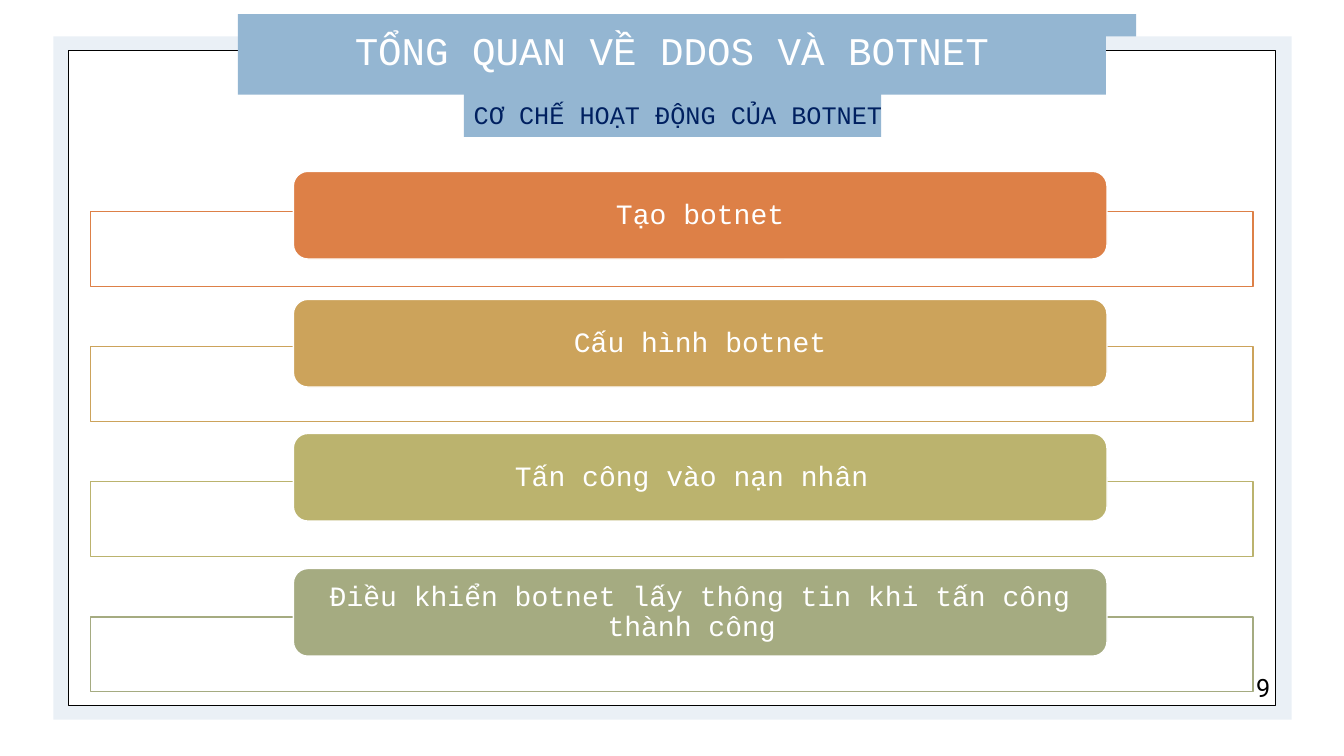
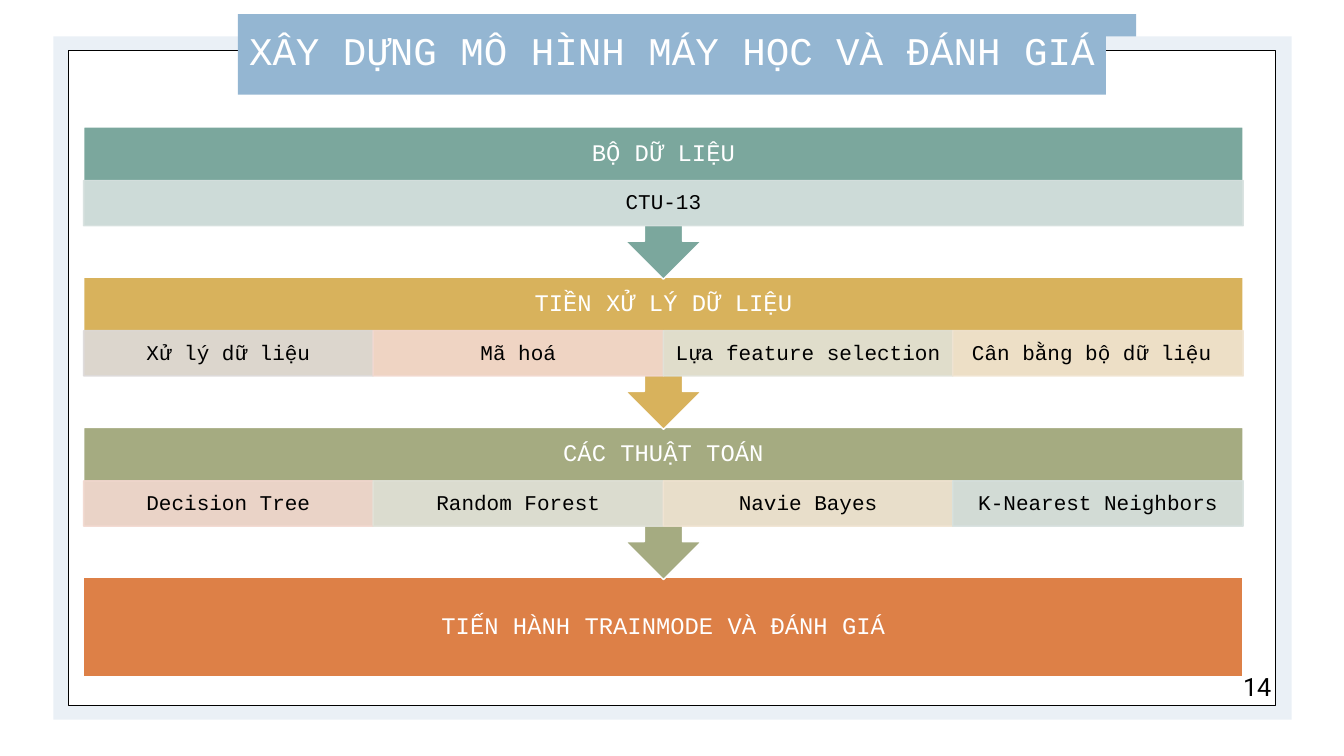
from dataclasses import dataclass
from typing import NamedTuple, Optional

from lxml.etree import SubElement
from pptx import Presentation
from pptx.dml.color import RGBColor
from pptx.dml.fill import FillFormat
from pptx.enum.shapes import MSO_SHAPE as Preset
from pptx.enum.text import MSO_ANCHOR as Anchor, PP_ALIGN as Align
from pptx.oxml.ns import qn
from pptx.shapes.autoshape import Shape
from pptx.slide import Slide
from pptx.util import Emu, Pt

EMU_PER_PX = 9144


@dataclass(frozen=True)
class Theme:
    mono: str = "Courier New"
    sans: str = "Roboto"
    white: str = "FFFFFF"
    black: str = "000000"
    navy: str = "002060"
    band: str = "94B6D2"
    frame: str = "EAF0F6"
    orange: str = "DD8047"
    ochre: str = "CCA35B"
    olive: str = "BBB36E"
    sage: str = "A5AB81"
    teal: str = "7BA79D"
    gold: str = "D8B25C"
    pale_teal: str = "D7E1DF"
    pale_gray: str = "DDDADA"
    pale_pink: str = "F2D8CF"
    pale_sage: str = "E1E2D8"
    pale_sand: str = "F0E4D2"
    title_size: int = 28
    step_size: int = 20
    label_size: int = 18
    stage_size: int = 17
    cell_size: int = 15
    opacity: int = 90


THEME = Theme()


class Box(NamedTuple):
    left: int
    top: int
    width: int
    height: int

    def emu(self) -> list[Emu]:
        return [Emu(length * EMU_PER_PX) for length in self]


class TextStyle(NamedTuple):
    size: int
    color: str
    font: str = THEME.mono
    align: Align = Align.CENTER
    anchor: Anchor = Anchor.MIDDLE
    inset_x: int = 10
    inset_y: int = 5
    spacing: float = 1.0


TITLE = TextStyle(THEME.title_size, THEME.white, anchor=Anchor.TOP, inset_x=5)
SUBTITLE = TextStyle(THEME.label_size, THEME.navy, align=Align.LEFT, anchor=Anchor.TOP)
NUMBER = TextStyle(THEME.label_size, THEME.black, THEME.sans, Align.LEFT, Anchor.TOP)
STEP = TextStyle(THEME.step_size, THEME.white, inset_x=31, inset_y=0, spacing=0.9)
STAGE = TextStyle(THEME.stage_size, THEME.white, inset_x=13, inset_y=13, spacing=0.9)
CELL = TextStyle(THEME.cell_size, THEME.black, inset_y=2, spacing=0.9)


class Step(NamedTuple):
    text: str
    color: str
    pill_top: int


class Cell(NamedTuple):
    text: str
    color: str


class Stage(NamedTuple):
    text: str
    color: str
    cells: tuple[Cell, ...]


STEPS = (
    Step("Tạo botnet", THEME.orange, 170),
    Step("Cấu hình botnet", THEME.ochre, 297),
    Step("Tấn công vào nạn nhân ", THEME.olive, 430),
    Step("Điều khiển botnet lấy thông tin khi tấn công thành công ", THEME.sage, 564),
)

STAGES = (
    Stage("BỘ DỮ LIỆU", THEME.teal, (Cell("CTU-13", THEME.pale_teal),)),
    Stage("TIỀN XỬ LÝ DỮ LIỆU", THEME.gold, (
        Cell("Xử lý dữ liệu", THEME.pale_gray),
        Cell("Mã hoá", THEME.pale_pink),
        Cell("Lựa feature selection ", THEME.pale_sage),
        Cell("Cân bằng bộ dữ liệu ", THEME.pale_sand),
    )),
    Stage("CÁC THUẬT TOÁN", THEME.sage, (
        Cell("Decision Tree", THEME.pale_pink),
        Cell("Random Forest", THEME.pale_sage),
        Cell("Navie Bayes", THEME.pale_sand),
        Cell("K-Nearest Neighbors", THEME.pale_teal),
    )),
)
CONCLUSION = "TIẾN HÀNH TRAINMODE VÀ ĐÁNH GIÁ"


def paint(fill: FillFormat, color: str, opacity: int = 100) -> None:
    fill.solid()
    fill.fore_color.rgb = RGBColor.from_string(color)
    if opacity < 100:
        color_node = fill._xPr.find(qn("a:solidFill"))[0]
        SubElement(color_node, qn("a:alpha"), val=str(opacity * 1000))


def write(shape: Shape, text: str, style: TextStyle) -> None:
    frame = shape.text_frame
    frame.word_wrap = True
    frame.vertical_anchor = style.anchor
    frame.margin_left = frame.margin_right = Emu(style.inset_x * EMU_PER_PX)
    frame.margin_top = frame.margin_bottom = Emu(style.inset_y * EMU_PER_PX)
    para = frame.paragraphs[0]
    para.alignment = style.align
    para.line_spacing = style.spacing
    span = para.add_run()
    span.text = text
    span.font.name = style.font
    span.font.size = Pt(style.size)
    span.font.color.rgb = RGBColor.from_string(style.color)


def add_text(page: Slide, box: Box, text: str, style: TextStyle) -> None:
    write(page.shapes.add_textbox(*box.emu()), text, style)


def add_block(page: Slide, box: Box, fill: str, line: Optional[str] = None,
              preset: Preset = Preset.RECTANGLE, opacity: int = 100,
              line_opacity: int = 100) -> Shape:
    shape = page.shapes.add_shape(preset, *box.emu())
    shape.shadow.inherit = False
    paint(shape.fill, fill, opacity)
    if line:
        shape.line.width = Pt(1)
        paint(shape.line.fill, line, line_opacity)
    else:
        shape.line.fill.background()
    return shape


def add_page(deck: Presentation, title: str) -> Slide:
    page = deck.slides.add_slide(deck.slide_layouts[6])
    paint(page.background.fill, THEME.white)
    add_block(page, Box(266, 14, 861, 80), THEME.band)
    add_block(page, Box(53, 36, 1228, 678), THEME.frame, preset=Preset.FRAME)
    add_block(page, Box(68, 50, 1197, 650), THEME.white, THEME.black)
    add_block(page, Box(236, 14, 861, 80), THEME.band)
    add_text(page, Box(236, 21, 861, 57), title, TITLE)
    return page


def add_number(page: Slide, number: int, left: int, top: int) -> None:
    add_text(page, Box(left, top, 75, 40), str(number), NUMBER)


def add_step(page: Slide, index: int, step: Step) -> None:
    add_block(page, Box(90, 210 + 134 * index, 1153, 74), THEME.white, step.color,
              opacity=THEME.opacity)
    pill = add_block(page, Box(291, step.pill_top, 807, 87), step.color, THEME.white,
                     Preset.ROUNDED_RECTANGLE)
    write(pill, step.text, STEP)


def stage_box(index: int, height: int) -> Box:
    return Box(83, 126 + 149 * index, 1150, height)


def add_stage(page: Slide, index: int, stage: Stage) -> None:
    header = stage_box(index, 53)
    callout = add_block(page, stage_box(index, 151), stage.color, THEME.white,
                        Preset.UP_ARROW_CALLOUT)
    callout.rotation = 180
    callout.adjustments[3] = 0.65
    add_text(page, header, stage.text, STAGE)
    count = len(stage.cells)
    edges = [header.left + header.width * edge // count for edge in range(count + 1)]
    for cell, left, right in zip(stage.cells, edges, edges[1:]):
        box = Box(left, header.top + header.height, right - left, 45)
        block = add_block(page, box, cell.color, cell.color, opacity=THEME.opacity,
                          line_opacity=THEME.opacity)
        write(block, cell.text, CELL)


def build_botnet_page(deck: Presentation) -> None:
    page = add_page(deck, "TỔNG QUAN VỀ DDOS VÀ BOTNET")
    add_block(page, Box(460, 86, 414, 50), THEME.band)
    add_text(page, Box(460, 94, 454, 40), "CƠ CHẾ HOẠT ĐỘNG CỦA BOTNET", SUBTITLE)
    for index, step in enumerate(STEPS):
        add_step(page, index, step)
    add_number(page, 9, 1236, 662)


def build_model_page(deck: Presentation) -> None:
    page = add_page(deck, "XÂY DỰNG MÔ HÌNH MÁY HỌC VÀ ĐÁNH GIÁ")
    conclusion = add_block(page, stage_box(len(STAGES), 98), THEME.orange, THEME.white)
    write(conclusion, CONCLUSION, STAGE)
    for index, stage in reversed(list(enumerate(STAGES))):
        add_stage(page, index, stage)
    add_number(page, 14, 1223, 661)


def main() -> None:
    deck = Presentation()
    deck.slide_width = Emu(1333 * EMU_PER_PX)
    deck.slide_height = Emu(750 * EMU_PER_PX)
    build_botnet_page(deck)
    build_model_page(deck)
    deck.save("out.pptx")


if __name__ == "__main__":
    main()
